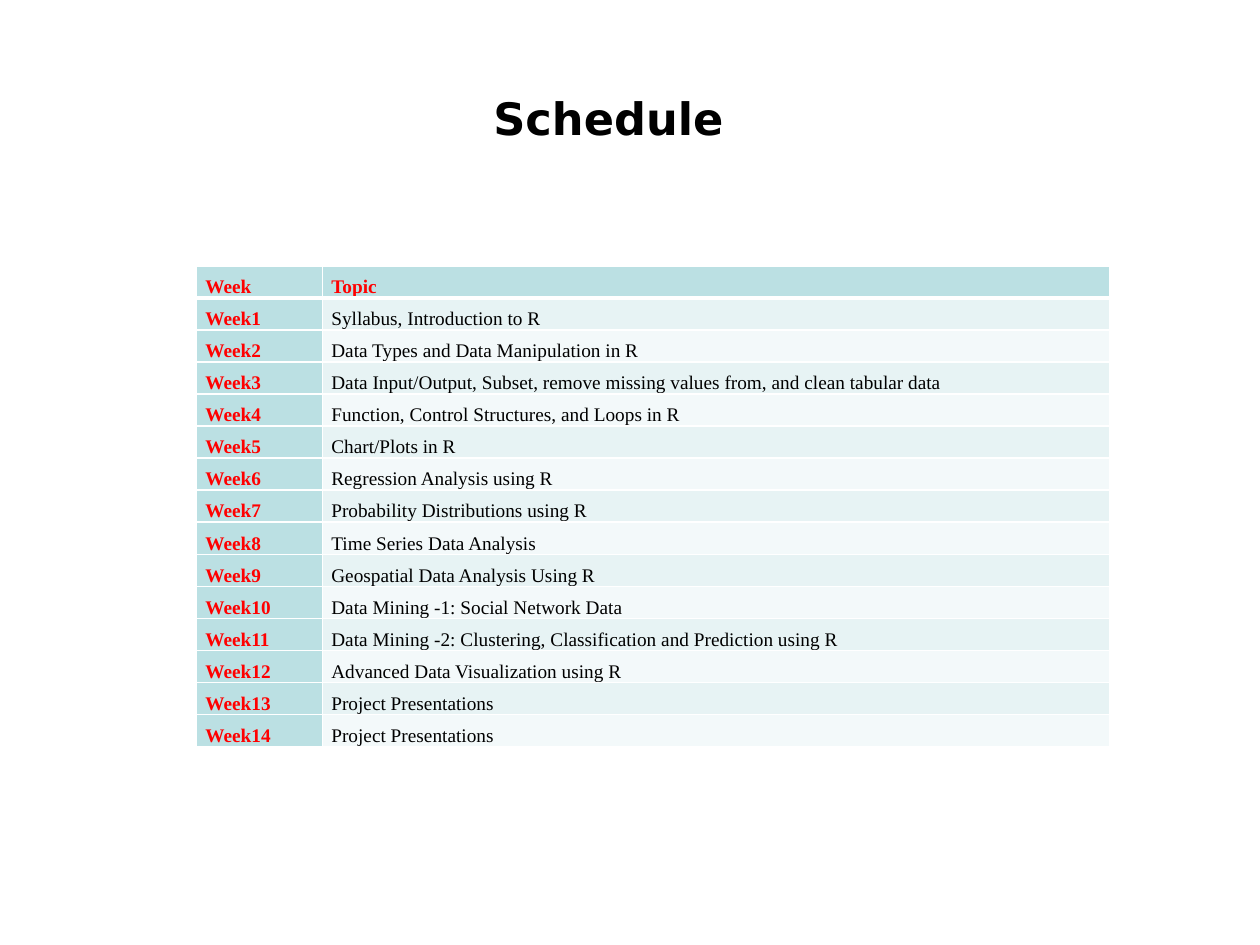
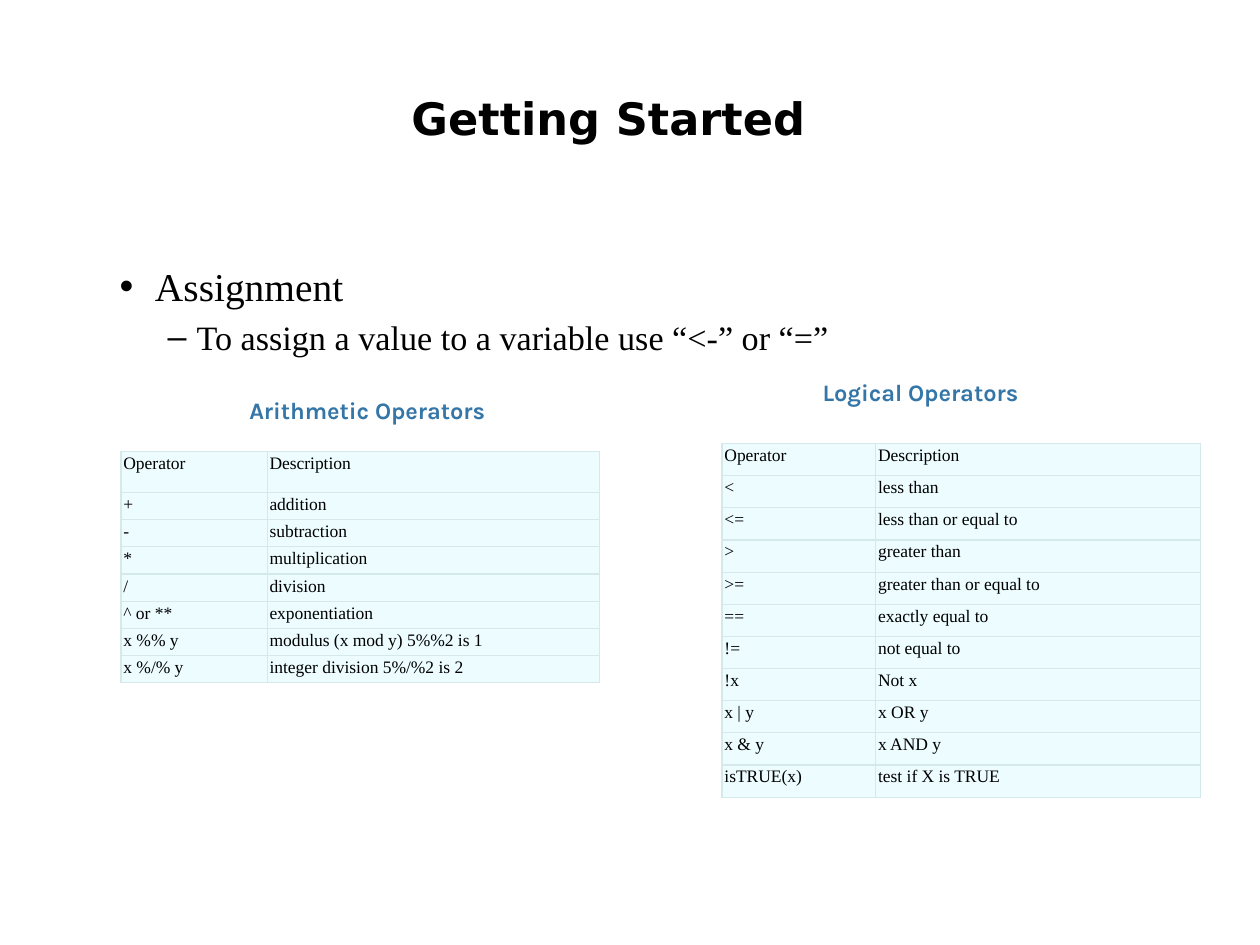
from pptx import Presentation
from pptx.dml.color import RGBColor
from pptx.enum.text import MSO_ANCHOR as ANCHOR, MSO_AUTO_SIZE as FIT, PP_ALIGN as ALIGN
from pptx.oxml.xmlchemy import OxmlElement
from pptx.util import Inches, Pt

# ---- Content ----
SCHEDULE_TITLE = "Schedule"
TOPICS = [
    "Syllabus, Introduction to R",
    "Data Types and Data Manipulation in R",
    "Data Input/Output, Subset, remove missing values from, and clean tabular data",
    "Function, Control Structures, and Loops in R",
    "Chart/Plots in R",
    "Regression Analysis using R",
    "Probability Distributions using R",
    "Time Series Data Analysis",
    "Geospatial Data Analysis Using R",
    "Data Mining -1: Social Network Data",
    "Data Mining -2: Clustering, Classification and Prediction using R",
    "Advanced Data Visualization using R",
    "Project Presentations",
    "Project Presentations",
]
SCHEDULE = [("Week", "Topic")] + [(f"Week{i}", t) for i, t in enumerate(TOPICS, 1)]

START_TITLE = "Getting Started"
# text, size, left margin, hanging indent; the position is the level
BULLETS = [
    ("Assignment", 22.5, 0.28, 0.28),
    ("To assign a value to a variable use “<-” or “=”", 19.5, 0.61, 0.23),
]
HEAD = ("Operator", "Description")
OPERATORS = [
    dict(
        label="Arithmetic Operators", label_box=(1.88, 3.09, 2.08, 0.33),
        box=(0.96, 3.58, 3.8, 1.84), first_col=1.16, head_height=0.33,
        rows=[
            HEAD,
            ("+", "addition"),
            ("-", "subtraction"),
            ("*", "multiplication"),
            ("/", "division"),
            ("^ or **", "exponentiation"),
            ("x %% y", "modulus (x mod y) 5%%2 is 1"),
            ("x %/% y", "integer division 5%/%2 is 2"),
        ],
    ),
    dict(
        label="Logical Operators", label_box=(6.43, 2.95, 1.75, 0.33),
        box=(5.73, 3.52, 3.8, 2.81), first_col=1.22, head_height=None,
        rows=[
            HEAD,
            ("<", "less than"),
            ("<=", "less than or equal to"),
            (">", "greater than"),
            (">=", "greater than or equal to"),
            ("==", "exactly equal to"),
            ("!=", "not equal to"),
            ("!x", "Not x"),
            ("x | y", "x OR y"),
            ("x & y", "x AND y"),
            ("isTRUE(x)", "test if X is TRUE"),
        ],
    ),
]

# ---- Shared look ----
SLIDE = (10, 7.5)
TITLE_BOX = (0.58, 0.67, 8.5, 0.75)
TITLE_FONT, BODY_FONT, LABEL_FONT = "DejaVu Sans", "Times New Roman", "Karla"
BLACK, WHITE, RED, BLUE = "000000", "FFFFFF", "FF0000", "3476A8"
TEAL, BANDS = "BBE0E3", ("F3F9FA", "E7F3F4")
ICE, ICE_LINE = "ECFCFF", "D5E8EA"


def rgb(color):
    return RGBColor.from_string(color)


def style(p, name, size, color=BLACK, bold=False):
    f = p.font
    f.name, f.size, f.bold = name, Pt(size), bold
    f.color.rgb = rgb(color)


def place(sp, box):
    sp.left, sp.top, sp.width, sp.height = map(Inches, box)


def new_slide(prs, layout, title):
    """Add a slide and format its title."""
    s = prs.slides.add_slide(prs.slide_layouts.get_by_name(layout))
    place(s.shapes.title, TITLE_BOX)
    tf = s.shapes.title.text_frame
    tf.text, tf.vertical_anchor, tf.auto_size = title, ANCHOR.TOP, FIT.NONE
    p = tf.paragraphs[0]
    p.alignment = ALIGN.CENTER
    style(p, TITLE_FONT, 25.5, bold=True)
    return s


def borders(cell, color, width, bottom=None):
    """Draw the four cell edges; bottom overrides the lower width."""
    tcPr = cell._tc.get_or_add_tcPr()
    for i, side in enumerate(("lnL", "lnR", "lnT", "lnB")):
        ln = OxmlElement(f"a:{side}")
        ln.set("w", str(Pt(bottom if bottom and side == "lnB" else width)))
        fill = OxmlElement("a:solidFill")
        clr = OxmlElement("a:srgbClr")
        clr.set("val", color)
        fill.append(clr)
        ln.append(fill)
        tcPr.insert(i, ln)


def add_table(s, rows, box, first_col, paint, head_height=None):
    """Add a two-column table; paint(cell, row, column) gives each cell its look."""
    n, height = len(rows), box[3]
    head = head_height or height / n
    table = s.shapes.add_table(n, 2, *map(Inches, box)).table
    table.first_row = table.horz_banding = False
    table.columns[0].width = Inches(first_col)
    table.columns[1].width = Inches(box[2] - first_col)
    for r, texts in enumerate(rows):
        table.rows[r].height = Inches(head if r == 0 else (height - head) / (n - 1))
        for c, text in enumerate(texts):
            cell = table.cell(r, c)
            cell.text = text
            paint(cell, r, c)


def paint_schedule(cell, r, c):
    key = r == 0 or c == 0
    cell.vertical_anchor = ANCHOR.BOTTOM
    cell.margin_left = cell.margin_right = Inches(0.07)
    cell.margin_top = cell.margin_bottom = 0
    p = cell.text_frame.paragraphs[0]
    p.line_spacing = 1.07
    if r:
        p.space_after = Pt(8)
    style(p, BODY_FONT, 11, RED if key else BLACK, key)
    cell.fill.solid()
    cell.fill.fore_color.rgb = rgb(TEAL if key else BANDS[r % 2])
    borders(cell, WHITE, 1, bottom=None if r else 3)


def paint_operator(cell, r, c):
    cell.margin_left = cell.margin_right = Inches(0.02)
    cell.margin_top = cell.margin_bottom = Inches(0.02)
    style(cell.text_frame.paragraphs[0], BODY_FONT, 10)
    cell.fill.solid()
    cell.fill.fore_color.rgb = rgb(ICE)
    borders(cell, ICE_LINE, 0.75)


def add_bullets(s):
    body = s.placeholders[1]
    place(body, (0.85, 2.03, 8.04, 0.81))
    tf = body.text_frame
    tf.auto_size = FIT.NONE
    for level, (text, size, left, hang) in enumerate(BULLETS):
        p = tf.add_paragraph() if level else tf.paragraphs[0]
        p.text, p.level = text, level
        style(p, BODY_FONT, size)
        pPr = p._p.get_or_add_pPr()
        pPr.set("marL", str(Inches(left)))
        pPr.set("indent", str(-Inches(hang)))


def add_label(s, text, box):
    tf = s.shapes.add_textbox(*map(Inches, box)).text_frame
    tf.text, tf.word_wrap, tf.auto_size = text, False, FIT.SHAPE_TO_FIT_TEXT
    style(tf.paragraphs[0], LABEL_FONT, 13.5, BLUE, True)


def main():
    prs = Presentation()
    prs.slide_width, prs.slide_height = map(Inches, SLIDE)

    # Course schedule
    s = new_slide(prs, "Title Only", SCHEDULE_TITLE)
    add_table(s, SCHEDULE, (1.56, 2.11, 7.25, 3.82), 1, paint_schedule)

    # Assignment and operators
    s = new_slide(prs, "Title and Content", START_TITLE)
    add_bullets(s)
    for op in OPERATORS:
        add_table(s, op["rows"], op["box"], op["first_col"], paint_operator, op["head_height"])
    for op in OPERATORS:
        add_label(s, op["label"], op["label_box"])

    prs.save("out.pptx")


if __name__ == "__main__":
    main()
